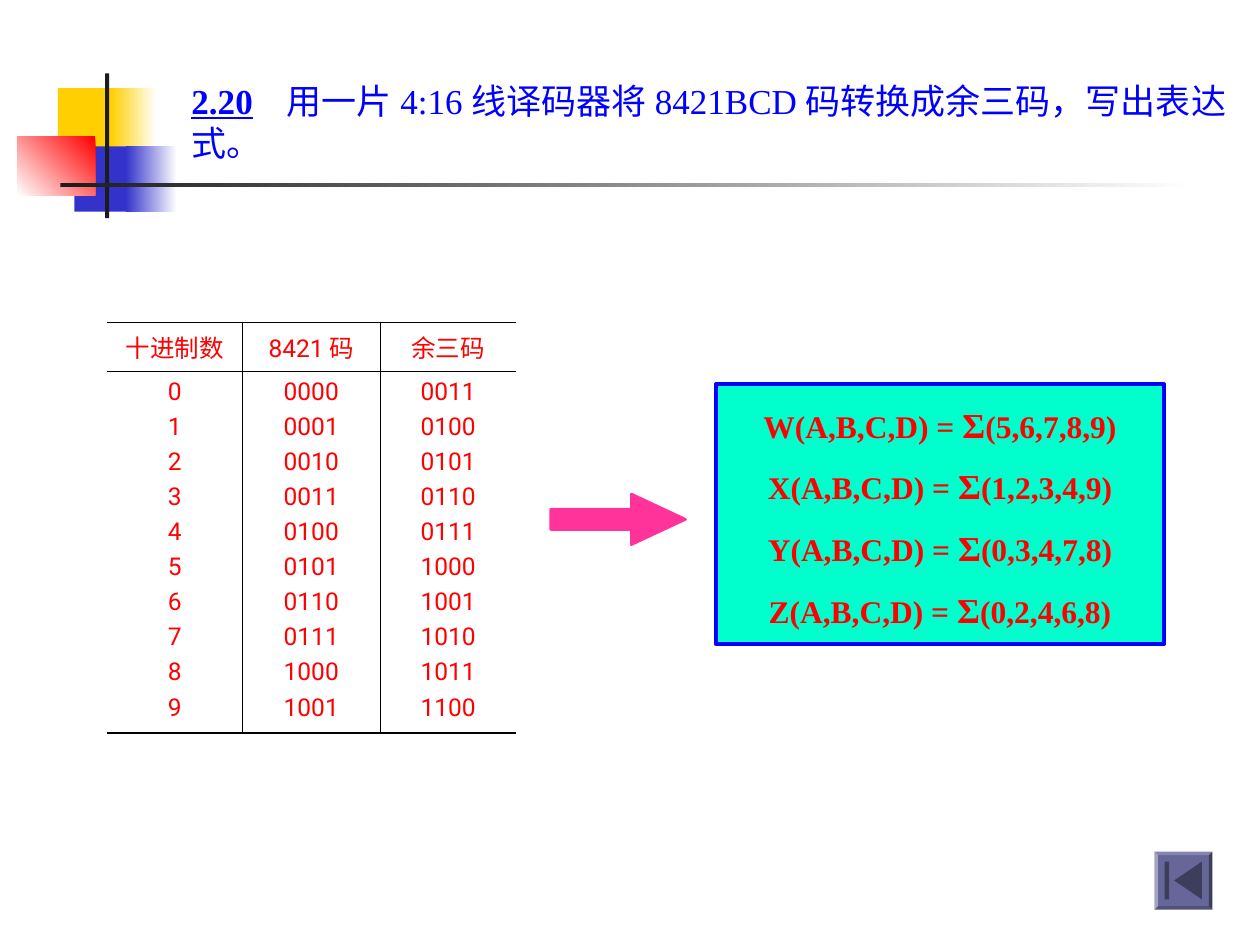
from lxml.etree import SubElement
from pptx import Presentation
from pptx.dml.color import RGBColor
from pptx.enum.shapes import MSO_SHAPE
from pptx.enum.text import MSO_ANCHOR, MSO_AUTO_SIZE, PP_ALIGN
from pptx.oxml.ns import qn
from pptx.util import Cm, Pt

BLUE, RED, BLACK, WHITE = "0000FF", "FF0000", "000000", "FFFFFF"
YELLOW, INDIGO, DARK = "FFCF01", "3333CC", "1C1C1C"
MINT, PINK, SLATE, NAVY = "00FFCC", "FF3399", "666699", "3D3D5C"
SERIF, SANS = "Times New Roman", "Roboto"
THIN, THICK = 0.45, 1.08


def rgb(hex_color):
    return RGBColor.from_string(hex_color)


def set_all(target, values):
    for attribute, value in values.items():
        setattr(target, attribute, value)


class SlideStyle:
    """Holds the text styles and the slide being filled."""

    title_font = {"name": SERIF, "size": Pt(20), "bold": False}
    table_font = {"name": SANS, "size": Pt(14)}
    formula_font = {"name": SERIF, "size": Pt(18), "bold": True}
    insets = {"margin_left": Cm(0.25), "margin_right": Cm(0.25),
              "margin_top": Cm(0.13), "margin_bottom": Cm(0.13)}

    def __init__(self, slide):
        self.slide = slide

    def run(self, paragraph, text, color, font, **changes):
        piece = paragraph.add_run()
        piece.text = text
        set_all(piece.font, {**font, **changes})
        piece.font.color.rgb = rgb(color)

    def title(self, number, text, box, tab):
        heading = self.slide.shapes.title
        set_all(heading, dict(zip(("left", "top", "width", "height"), map(Cm, box))))
        frame = heading.text_frame
        set_all(frame, {**self.insets, "word_wrap": True,
                        "auto_size": MSO_AUTO_SIZE.NONE,
                        "vertical_anchor": MSO_ANCHOR.TOP})
        paragraph = frame.paragraphs[0]
        paragraph.alignment = PP_ALIGN.LEFT
        tabs = SubElement(paragraph._p.get_or_add_pPr(), qn("a:tabLst"))
        SubElement(tabs, qn("a:tab"), pos=str(Cm(tab)), algn="l")
        self.run(paragraph, number, BLUE, self.title_font, bold=True, underline=True)
        self.run(paragraph, "\t" + text, BLUE, self.title_font)

    def finish(self, shape, fill, line=None, width=0):
        shape.shadow.inherit = False
        shape.fill.solid()
        shape.fill.fore_color.rgb = rgb(fill)
        if line:
            shape.line.color.rgb = rgb(line)
            shape.line.width = Pt(width)
        else:
            shape.line.fill.background()
        return shape

    def shape(self, kind, box, fill, line=None, width=0, adjust=()):
        shape = self.slide.shapes.add_shape(kind, *map(Cm, box))
        for index, value in enumerate(adjust):
            shape.adjustments[index] = value
        return self.finish(shape, fill, line, width)

    def fade(self, box, start, end, angle=0):
        fill = self.shape(MSO_SHAPE.RECTANGLE, box, start).fill
        fill.gradient()
        fill.gradient_angle = angle
        for stop, color in zip(fill.gradient_stops, (start, end)):
            stop.color.rgb = rgb(color)

    def outline(self, points, fill):
        corners = [(Cm(x), Cm(y)) for x, y in points]
        builder = self.slide.shapes.build_freeform(*corners[0])
        builder.add_line_segments(corners[1:])
        self.finish(builder.convert_to_shape(), fill)

    def border(self, cell, sides):
        properties = cell._tc.get_or_add_tcPr()
        for side in "LRTB":
            width = sides.get(side)
            edge = SubElement(properties, qn("a:ln" + side), w=str(Pt(width or 0)))
            if width:
                paint = SubElement(edge, qn("a:solidFill"))
                SubElement(paint, qn("a:srgbClr"), val=BLACK)
            else:
                SubElement(edge, qn("a:noFill"))

    def table(self, columns, box, widths, heights):
        table = self.slide.shapes.add_table(2, len(columns), *map(Cm, box)).table
        set_all(table, {"first_row": False, "horz_banding": False})
        for row, height in zip(table.rows, heights):
            row.height = Cm(height)
        for index, (header, codes) in enumerate(columns):
            table.columns[index].width = Cm(widths[index])
            inner = {}
            if index > 0:
                inner["L"] = THIN
            if index < len(columns) - 1:
                inner["R"] = THIN
            self.cell(table.cell(0, index), [header], MSO_ANCHOR.MIDDLE,
                      {**inner, "T": THICK, "B": THIN})
            self.cell(table.cell(1, index), codes, MSO_ANCHOR.TOP,
                      {**inner, "T": THIN, "B": THICK})

    def cell(self, cell, lines, anchor, sides):
        set_all(cell, {**self.insets, "vertical_anchor": anchor})
        self.border(cell, sides)
        cell.fill.background()
        for paragraph, text in self.centred(cell.text_frame, lines, 3.5):
            self.run(paragraph, text, RED, self.table_font)

    def centred(self, frame, lines, gap):
        for index, line in enumerate(lines):
            paragraph = frame.add_paragraph() if index else frame.paragraphs[0]
            paragraph.alignment = PP_ALIGN.CENTER
            if index:
                paragraph.space_before = Pt(gap)
            yield paragraph, line

    def formulas(self, terms, box):
        panel = self.shape(MSO_SHAPE.RECTANGLE, box, MINT, BLUE, 2.25)
        frame = panel.text_frame
        set_all(frame, {**self.insets, "margin_top": Cm(0.38), "word_wrap": True,
                        "vertical_anchor": MSO_ANCHOR.TOP})
        for paragraph, (output, numbers) in self.centred(frame, terms, 11.2):
            self.run(paragraph, f"{output}(A,B,C,D) = ", RED, self.formula_font)
            self.run(paragraph, "Σ", RED, self.formula_font, size=Pt(20))
            self.run(paragraph, f"({numbers})", RED, self.formula_font)


def main():
    deck = Presentation()
    set_all(deck, {"slide_width": Cm(25.4), "slide_height": Cm(19.05)})
    page = SlideStyle(deck.slides.add_slide(deck.slide_layouts[5]))

    # Corner decoration and rules
    block = MSO_SHAPE.RECTANGLE
    page.shape(block, (1.17, 1.78, 1.22, 1.32), YELLOW)
    page.fade((2.24, 1.78, 0.91, 1.32), YELLOW, WHITE)
    page.shape(block, (1.5, 2.95, 1.17, 1.32), INDIGO)
    page.fade((2.54, 2.95, 1.02, 1.32), INDIGO, WHITE)
    page.fade((0.35, 2.75, 1.57, 1.19), RED, WHITE, 225)
    page.shape(block, (2.12, 1.48, 0.08, 2.92), DARK)
    page.fade((1.22, 3.68, 22.86, 0.09), DARK, WHITE)

    # Question
    page.title("2.20", "用一片4:16线译码器将8421BCD码转换成余三码，写出表达式。",
               (3.61, 1.47, 21.79, 1.96), 1.92)

    # Code table: excess-3 is the number plus three
    digits = range(10)
    columns = [("十进制数", [str(n) for n in digits]),
               ("8421码", [f"{n:04b}" for n in digits]),
               ("余三码", [f"{n + 3:04b}" for n in digits])]
    page.table(columns, (2.16, 6.5, 8.25, 8.27), (2.73, 2.77, 2.75), (0.97, 7.3))

    # Arrow to the resulting expressions
    page.shape(MSO_SHAPE.RIGHT_ARROW, (11.1, 9.96, 2.72, 1.02), PINK, PINK, 1.5,
               (0.4, 1.07))
    page.formulas([("W", "5,6,7,8,9"), ("X", "1,2,3,4,9"),
                   ("Y", "0,3,4,7,8"), ("Z", "0,2,4,6,8")],
                  (14.43, 7.75, 9.04, 5.23))

    # Button back to the start
    page.shape(MSO_SHAPE.BEVEL, (23.27, 17.17, 1.17, 1.17), SLATE, adjust=(0.06,))
    page.outline([(23.67, 17.75), (24.23, 17.37), (24.23, 18.13), (23.67, 17.75)], NAVY)
    page.shape(block, (23.48, 17.37, 0.09, 0.76), NAVY)

    deck.save("out.pptx")


if __name__ == "__main__":
    main()
